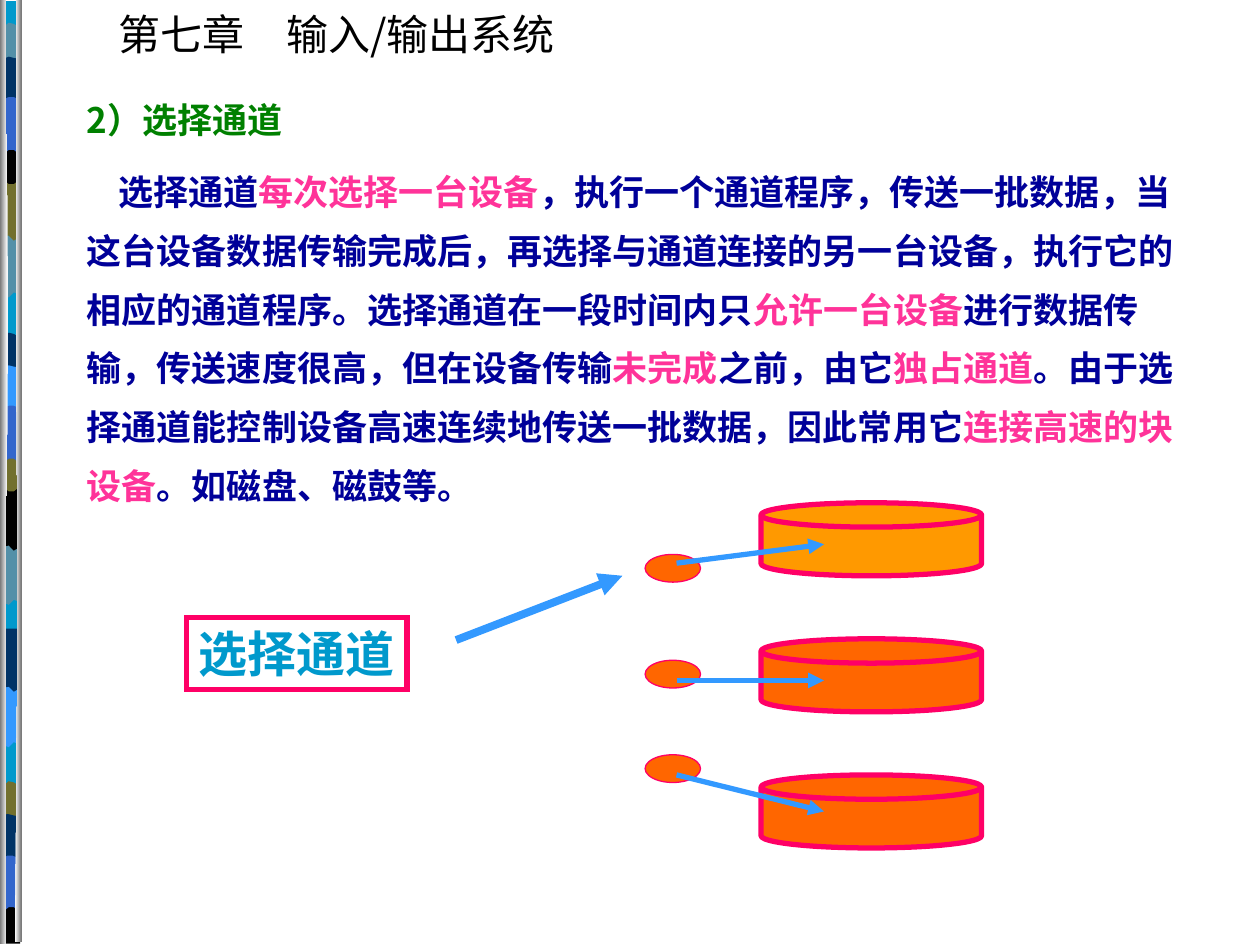
"""Build the slide on the selector channel with python-pptx."""
from pptx import Presentation
from pptx.dml.color import RGBColor
from pptx.enum.shapes import MSO_CONNECTOR, MSO_SHAPE
from pptx.enum.text import MSO_ANCHOR, MSO_AUTO_SIZE, PP_ALIGN
from pptx.oxml.ns import qn
from pptx.util import Pt
from lxml.etree import SubElement

PX = 9144
CJK = "Noto Sans CJK SC"
BLACK = RGBColor(0x00, 0x00, 0x00)
WHITE = RGBColor(0xFF, 0xFF, 0xFF)
GREY = RGBColor(0x76, 0x76, 0x76)
CYAN = RGBColor(0x00, 0x99, 0xCC)
TEAL = RGBColor(0x54, 0x90, 0xA8)
OLIVE = RGBColor(0x72, 0x70, 0x2E)
BLUE = RGBColor(0x33, 0x66, 0xCC)
DARK = RGBColor(0x00, 0x33, 0x66)
SKY = RGBColor(0x33, 0x99, 0xFF)
GREEN = RGBColor(0x00, 0x80, 0x00)
NAVY = RGBColor(0x00, 0x00, 0x99)
PINK = RGBColor(0xFF, 0x33, 0x99)
ROSE = RGBColor(0xFF, 0x00, 0x66)
AMBER = RGBColor(0xFF, 0x99, 0x00)
ORANGE = RGBColor(0xFF, 0x66, 0x00)


def add_run(p, text, font, size, color, bold):
    r = p.add_run()
    r.text = text
    style = {"name": font, "size": Pt(size), "bold": bold}
    for key, value in style.items():
        setattr(r.font, key, value)
    r.font.color.rgb = color
    SubElement(r.font._element, qn("a:ea")).set("typeface", CJK)


prs = Presentation()
prs.slide_width, prs.slide_height = 1000 * PX, 750 * PX
s = prs.slides.add_slide(prs.slide_layouts[6])

EDGES = {
    "flat": ((0, 0), (0, 0)),
    "wave": ((0, 0), (0, 2, -2, 0)),
    "bulge": ((0, 0), (0, -1, 3, 0)),
    "cap": ((0, -4, -3, 0), (0, 3, 3, 0)),
    "dip": ((0, 2, 1, 0), (0, 4, 4, 0)),
    "arch": ((0, 0), (0, -4, -4, 0)),
    "swell": ((0, -2, -1, 0), (2, 0, 0, 2)),
    "foot": ((0, 2, 1, 0), (0, 0)),
}
bands = [
    ("flat", 2, 1, 747, CYAN),
    ("wave", 2, 187, 234, TEAL), ("bulge", 2, 141, 188, OLIVE),
    ("cap", 2, 22, 46, TEAL), ("dip", 2, 109, 142, BLACK),
    ("arch", 2, 76, 123, BLUE), ("swell", 2, 47, 77, DARK),
    ("wave", 2, 432, 478, TEAL), ("bulge", 2, 387, 434, BLACK),
    ("cap", 2, 268, 292, DARK), ("dip", 2, 354, 386, OLIVE),
    ("arch", 2, 321, 368, BLUE), ("swell", 2, 292, 322, SKY),
    ("wave", 2, 544, 591, SKY), ("bulge", 2, 499, 546, DARK),
    ("cap", 2, 624, 649, OLIVE), ("foot", 2, 712, 749, BLACK),
    ("arch", 2, 678, 724, BLUE), ("swell", 1, 648, 679, DARK),
]
outlines = []
for kind, x, top, bottom, color in bands:
    upper, lower = [[(x + 14 * i / (len(offsets) - 1), y + dy) for i, dy in enumerate(offsets)]
                    for y, offsets in zip((top, bottom), EDGES[kind])]
    outlines.append((upper + lower[::-1], [color]))
outlines += [
    ([(5, 0), (6, 250), (5, 500), (5, 749), (0, 749), (0, 0)], [GREY, WHITE]),
    ([(13, 0), (13, 250), (14, 500), (12, 748), (17, 748), (17, 0)], [WHITE, GREY]),
]
for points, colors in outlines:
    fb = s.shapes.build_freeform(*points[0], scale=PX)
    fb.add_line_segments(points[1:], close=True)
    sp = fb.convert_to_shape()
    sp.shadow.inherit = False
    sp.line.fill.background()
    if len(colors) == 1:
        sp.fill.solid()
        sp.fill.fore_color.rgb = colors[0]
    else:
        sp.fill.gradient()
        sp.fill.gradient_angle = 0
        for stop, color in zip(sp.fill.gradient_stops, colors):
            stop.color.rgb = color

title = [("第七章　输入/输出系统", BLACK)]
heading = [("2）选择通道", GREEN)]
body = [
    ("选择通道", NAVY), ("每次选择一台设备", PINK),
    ("，执行一个通道程序，传送一批数据，当这台设备数据传输完成后，再选择与通道连接的另一台设备，"
     "执行它的相应的通道程序。选择通道在一段时间内只", NAVY),
    ("允许一台设备", PINK), ("进行数据传输，传送速度很高，但在设备传输", NAVY),
    ("未完成", PINK), ("之前，由它", NAVY), ("独占通道", PINK),
    ("。由于选择通道能控制设备高速连续地传送一批数据，因此常用它", NAVY),
    ("连接高速的块设备", PINK), ("。如磁盘、磁鼓等。", NAVY),
]
for box, wrap, size, bold, spacing, paragraphs in [
    ((84, 2, 389, 50), False, 24, False, 1, [title]),
    ((59, 60, 898, 347), True, 20, True, 1.4, [heading, body]),
]:
    tf = s.shapes.add_textbox(*[v * PX for v in box]).text_frame
    tf.word_wrap = wrap
    tf.auto_size = MSO_AUTO_SIZE.SHAPE_TO_FIT_TEXT
    for i, runs in enumerate(paragraphs):
        p = tf.paragraphs[0] if i == 0 else tf.add_paragraph()
        p.line_spacing = spacing
        p._p.get_or_add_pPr().set("hangingPunct", "0")
        if i:
            p.space_before = Pt(7.5)
            p._p.get_or_add_pPr().set("indent", str(25 * PX))
        for text, color in runs:
            add_run(p, text, CJK, size, color, bold)

DISK, DOT = MSO_SHAPE.FLOWCHART_MAGNETIC_DISK, MSO_SHAPE.FLOWCHART_CONNECTOR
shapes = [(DISK, 604, 399 + 108 * i, 175, 58, fill, 3)
          for i, fill in enumerate((AMBER, ORANGE, ORANGE))]
shapes.append((MSO_SHAPE.RECTANGLE, 148, 490, 175, 57, None, 3))
shapes += [(DOT, 512, y, 44, 22, ORANGE, 0.75) for y in (440, 524, 599)]
for kind, x, y, w, h, fill, width in shapes:
    sp = s.shapes.add_shape(kind, x * PX, y * PX, w * PX, h * PX)
    sp.shadow.inherit = False
    sp.line.color.rgb = ROSE
    sp.line.width = Pt(width)
    if fill:
        sp.fill.solid()
        sp.fill.fore_color.rgb = fill
    else:
        sp.fill.background()
        SubElement(sp.line._get_or_add_ln(), qn("a:miter")).set("lim", "800000")
        tf = sp.text_frame
        for key, value in {"word_wrap": False, "vertical_anchor": MSO_ANCHOR.TOP,
                           "auto_size": MSO_AUTO_SIZE.SHAPE_TO_FIT_TEXT}.items():
            setattr(tf, key, value)
        p = tf.paragraphs[0]
        p.alignment = PP_ALIGN.LEFT
        add_run(p, "选择通道", "Times New Roman", 28, CYAN, True)

for x1, y1, x2, y2, width in [
    (537, 447, 654, 432, 3), (537, 540, 654, 540, 3),
    (537, 615, 654, 644, 3), (362, 508, 494, 457, 4.5),
]:
    c = s.shapes.add_connector(MSO_CONNECTOR.STRAIGHT, x1 * PX, y1 * PX, x2 * PX, y2 * PX)
    c.line.color.rgb = SKY
    c.line.width = Pt(width)
    SubElement(c.line._get_or_add_ln(), qn("a:tailEnd")).set("type", "triangle")
    SubElement(c._element.spPr, qn("a:effectLst"))

prs.save("out.pptx")
